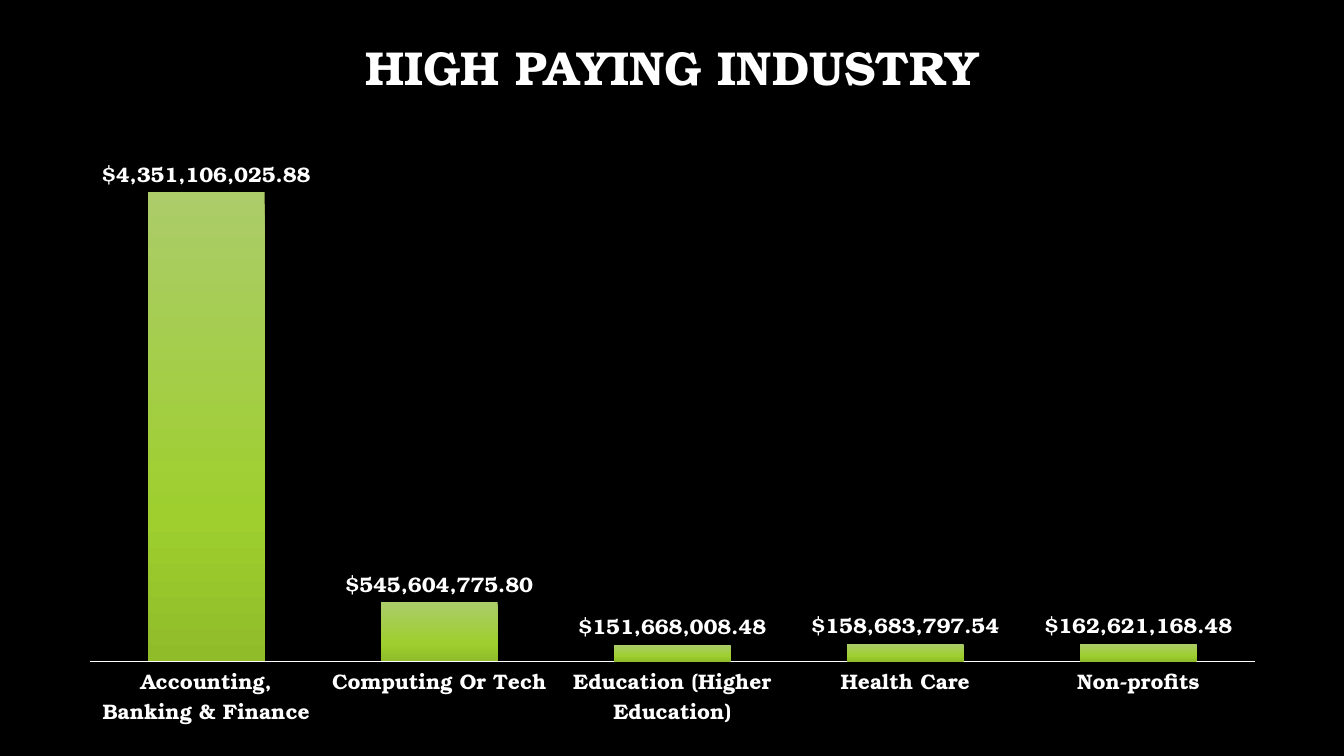
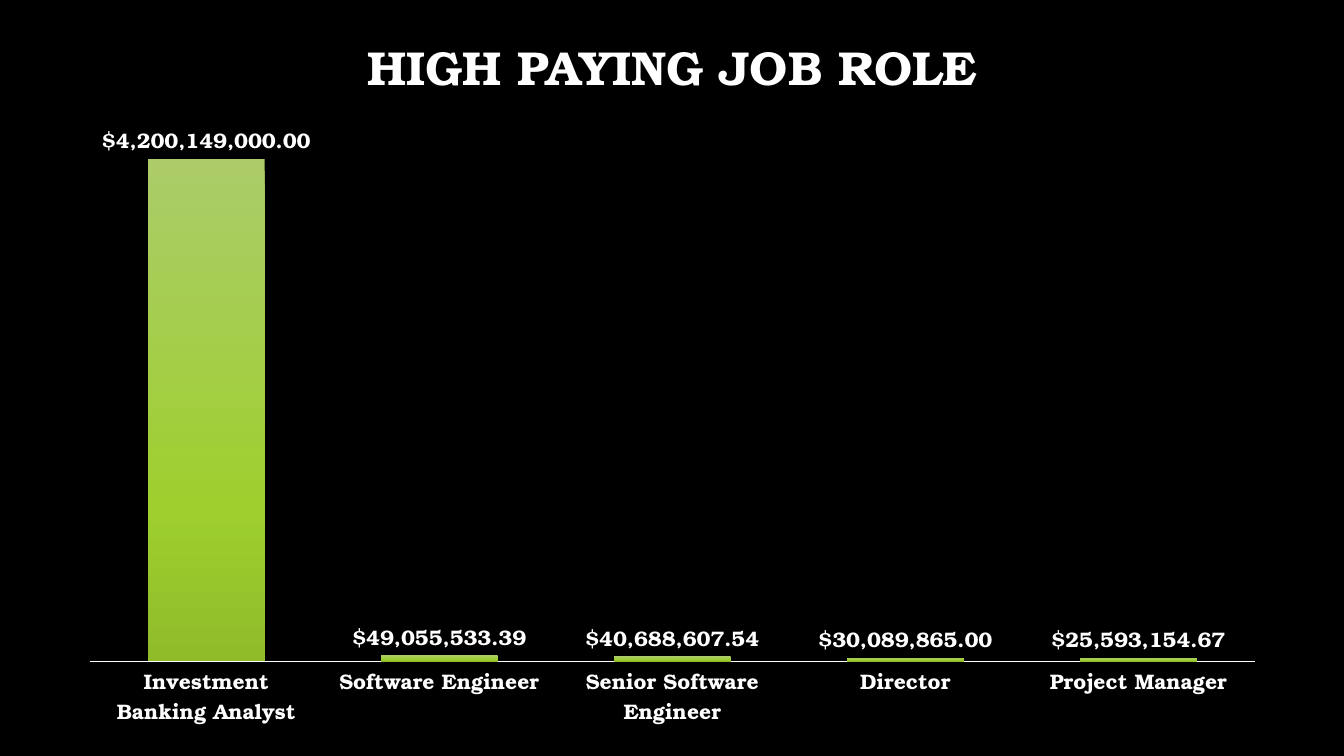
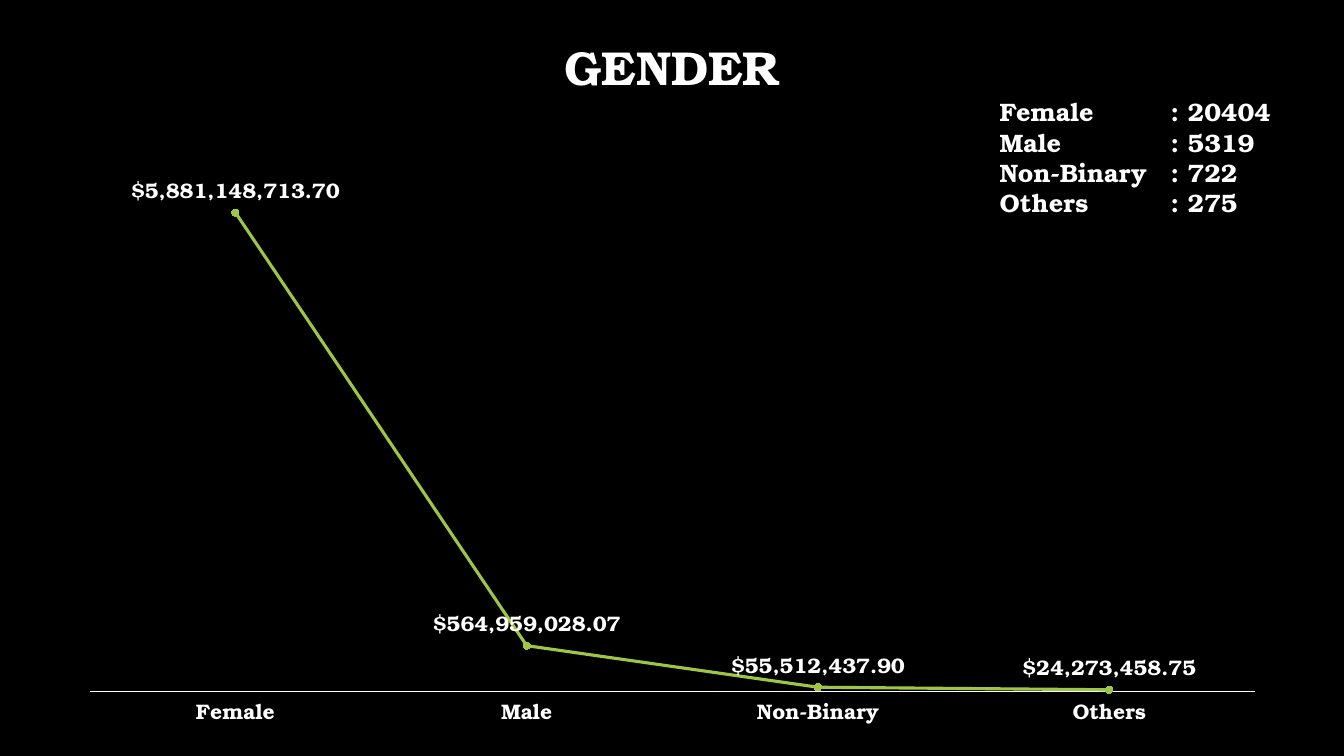
from lxml.etree import SubElement
from pptx import Presentation
from pptx.chart.data import CategoryChartData
from pptx.dml.color import RGBColor
from pptx.enum.chart import XL_CHART_TYPE, XL_LABEL_POSITION, XL_MARKER_STYLE, XL_TICK_MARK
from pptx.enum.text import MSO_ANCHOR, MSO_AUTO_SIZE, PP_ALIGN
from pptx.oxml.ns import qn
from pptx.util import Pt

HUES = {
    "back": "000000",
    "text": "FFFFFF",
    "line": "9EC544",
    "top": "ABCC69",
    "mid": "9ECF2E",
    "base": "90BC2A",
}
FADE = [(0, "top"), (69, "mid"), (100, "base")]
FACE = "TeX Gyre Bonum"
MONEY = "[$$-409]#,##0.00"
LEFT, WIDE, FOOT = 46.8, 866.88, 527.76

JOBS = [
    ("HIGH PAYING INDUSTRY", 78.48, 5e9, [
        ("Accounting, Banking & Finance", 4351106025.88),
        ("Computing Or Tech", 545604775.80),
        ("Education (Higher Education)", 151668008.48),
        ("Health Care", 158683797.54),
        ("Non-profits", 162621168.48),
    ]),
    ("HIGH PAYING JOB ROLE", 79.2, 4.5e9, [
        ("Investment Banking Analyst", 4200149000.00),
        ("Software Engineer", 49055533.39),
        ("Senior Software Engineer", 40688607.54),
        ("Director", 30089865.00),
        ("Project Manager", 25593154.67),
    ]),
]
GENDER = [
    ("Female", 5881148713.70),
    ("Male", 564959028.07),
    ("Non-Binary", 55512437.90),
    ("Others", 24273458.75),
]
COUNTS = [("Female", 20404), ("Male", 5319), ("Non-Binary", 722), ("Others", 275)]


def hue(name):
    return RGBColor.from_string(HUES[name])


def style(font, size, bold=True):
    font.name = FACE
    font.size = Pt(size)
    font.bold = bold
    font.color.rgb = hue("text")


def add_run(para, text, size):
    run = para.add_run()
    run.text = text
    style(run.font, size)


def add_page(deck, title):
    page = deck.slides.add_slide(deck.slide_layouts[5])
    head = page.shapes.title
    head.left, head.top, head.width, head.height = Pt(LEFT), Pt(12.24), Pt(WIDE), Pt(75.6)
    head.text_frame.vertical_anchor = MSO_ANCHOR.MIDDLE
    para = head.text_frame.paragraphs[0]
    para.alignment = PP_ALIGN.CENTER
    para.line_spacing = 0.9
    add_run(para, title, 34)
    return page


def add_plot(page, kind, top, peak, rows, rule, spot):
    data = CategoryChartData(number_format=MONEY)
    data.categories = [name for name, _ in rows]
    data.add_series("Series 1", [value for _, value in rows])
    frame = page.shapes.add_chart(kind, Pt(LEFT), Pt(top), Pt(WIDE), Pt(FOOT - top), data)
    chart = frame.chart
    chart.has_title = False
    chart.has_legend = False
    style(chart.font, 10, False)

    names = chart.category_axis
    names.major_tick_mark = XL_TICK_MARK.NONE
    names.minor_tick_mark = XL_TICK_MARK.NONE
    names.has_major_gridlines = False
    style(names.tick_labels.font, 15)
    names.format.line.color.rgb = hue("text")
    names.format.line.width = Pt(rule)

    scale = chart.value_axis
    scale.minimum_scale = 0
    scale.maximum_scale = peak
    scale.has_major_gridlines = False
    scale.visible = False

    plot = chart.plots[0]
    plot.vary_by_categories = False
    plot.has_data_labels = True
    tags = plot.data_labels
    tags.show_value = True
    tags.position = spot
    tags.number_format = MONEY
    tags.number_format_is_linked = False
    style(tags.font, 15)
    return plot


def add_bars(page, top, peak, rows):
    plot = add_plot(page, XL_CHART_TYPE.COLUMN_CLUSTERED, top, peak, rows, 1,
                    XL_LABEL_POSITION.OUTSIDE_END)
    plot.gap_width = 100
    plot.overlap = -24
    bars = plot.series[0]
    bars.format.fill.gradient()
    bars.format.fill.gradient_angle = 270
    stops = bars.format.fill._xPr.find(".//" + qn("a:gsLst"))
    for stop in list(stops):
        stops.remove(stop)
    for place, name in FADE:
        stop = SubElement(stops, qn("a:gs"), pos=str(place * 1000))
        SubElement(stop, qn("a:srgbClr"), val=HUES[name])


def add_curve(page, top, peak, rows):
    plot = add_plot(page, XL_CHART_TYPE.LINE_MARKERS, top, peak, rows, 0.75,
                    XL_LABEL_POSITION.ABOVE)
    curve = plot.series[0]
    curve.smooth = False
    curve.format.line.color.rgb = hue("line")
    curve.format.line.width = Pt(2.25)
    curve.marker.style = XL_MARKER_STYLE.CIRCLE
    curve.marker.size = 5
    curve.marker.format.fill.solid()
    curve.marker.format.fill.fore_color.rgb = hue("line")
    curve.marker.format.line.color.rgb = hue("line")


def add_counts(page, rows):
    box = page.shapes.add_textbox(Pt(707.04), Pt(65.52), Pt(252), Pt(94.32))
    frame = box.text_frame
    frame.word_wrap = True
    frame.auto_size = MSO_AUTO_SIZE.SHAPE_TO_FIT_TEXT
    for row, (name, count) in enumerate(rows):
        para = frame.add_paragraph() if row else frame.paragraphs[0]
        tabs = SubElement(para._p.get_or_add_pPr(), qn("a:tabLst"))
        SubElement(tabs, qn("a:tab"), pos=str(Pt(122)), algn="l")
        add_run(para, f"{name}\t: {count}", 18)


def main():
    deck = Presentation()
    deck.slide_width, deck.slide_height = Pt(960), Pt(540)
    back = deck.slide_master.background.fill
    back.solid()
    back.fore_color.rgb = hue("back")
    for title, top, peak, rows in JOBS:
        add_bars(add_page(deck, title), top, peak, rows)
    page = add_page(deck, "GENDER")
    add_curve(page, 77.76, 7e9, GENDER)
    add_counts(page, COUNTS)
    deck.save("out.pptx")


if __name__ == "__main__":
    main()
